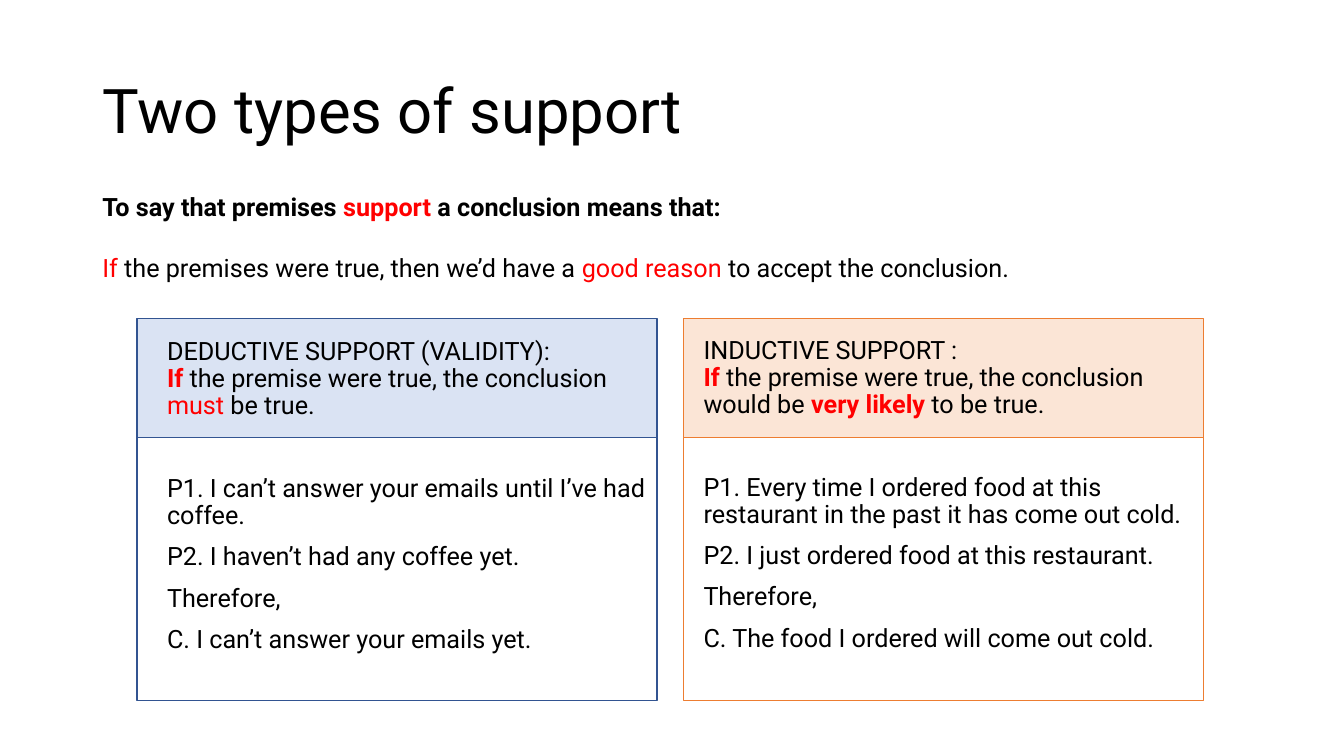
from pptx import Presentation
from pptx.dml.color import RGBColor
from pptx.enum.shapes import MSO_SHAPE as SHAPE
from pptx.enum.text import MSO_ANCHOR as ANCHOR, PP_ALIGN as ALIGN
from pptx.util import Cm, Pt

COLORS = {
    "black": "000000", "red": "FF0000", "white": "FFFFFF",
    "blue": "325491", "pale_blue": "DAE3F3",
    "orange": "ED7D31", "pale_orange": "FBE5D6",
}


def rgb(name):
    return RGBColor.from_string(COLORS[name])


def add_text(tf, *runs, size=18, spacing=0.9, before=0):
    p = tf.paragraphs[0]
    if p.runs:
        p = tf.add_paragraph()
    p.alignment = ALIGN.LEFT
    p.line_spacing = spacing
    p.space_before = Pt(before)
    for text, color, bold in runs:
        for i, line in enumerate(text.split("\n")):
            if i:
                p.add_line_break()
            if line:
                r = p.add_run()
                r.text = line
                r.font.name = "Roboto"
                r.font.size = Pt(size)
                r.font.bold = bold
                r.font.color.rgb = rgb(color)


prs = Presentation()
prs.slide_width, prs.slide_height = Cm(33.87), Cm(19.05)
s = prs.slides.add_slide(prs.slide_layouts[5])

title = s.shapes.title
title.left, title.top, title.width, title.height = Cm(2.33), Cm(1.02), Cm(29.21), Cm(3.68)
title.text_frame.vertical_anchor = ANCHOR.MIDDLE
add_text(title.text_frame, ("Two types of support", "black", False), size=44)

intro = s.shapes.add_textbox(Cm(2.33), Cm(4.7), Cm(29.21), Cm(2.57))
tf = intro.text_frame
tf.word_wrap = True
add_text(tf, ("To say that premises ", "black", True), ("support", "red", True),
         (" a conclusion means that:", "black", True), spacing=1.0)
add_text(tf, ("If", "red", False),
         (" the premises were true, then we’d have a ", "black", False),
         ("good reason", "red", False),
         (" to accept the conclusion.", "black", False), spacing=1.0, before=22)

panels = [
    (3.45, "blue", "pale_blue", (3.96, 8.41, 12.57),
     [("DEDUCTIVE SUPPORT (VALIDITY):\n", "black", False), ("If", "red", True),
      (" the premise were true, the conclusion ", "black", False),
      ("must", "red", False), (" be true.", "black", False)],
     ["P1. I can’t answer your emails until I’ve had coffee.",
      "P2. I haven’t had any coffee yet.",
      "Therefore,",
      "C. I can’t answer your emails yet."]),
    (17.22, "orange", "pale_orange", (17.48, 8.38, 13.11),
     [("INDUCTIVE SUPPORT :\n", "black", False), ("If", "red", True),
      (" the premise were true, the conclusion would be", "black", False),
      (" very likely ", "red", True), ("to be true.", "black", False)],
     ["P1. Every time I ordered food at this restaurant in the past it has come out cold.",
      "P2. I just ordered food at this restaurant.",
      "Therefore,",
      "C. The food I ordered will come out cold."]),
]

for left, line, tint, (x, y, width), heading, argument in panels:
    for top, height, fill in [(8.38, 9.27, "white"), (8.03, 3, tint)]:
        sp = s.shapes.add_shape(SHAPE.RECTANGLE, Cm(left), Cm(top), Cm(13.11), Cm(height))
        sp.shadow.inherit = False
        sp.fill.solid()
        sp.fill.fore_color.rgb = rgb(fill)
        sp.line.color.rgb = rgb(line)
        sp.line.width = Pt(1)

    tf = s.shapes.add_textbox(Cm(x), Cm(y), Cm(width), Cm(9.2)).text_frame
    tf.word_wrap = True
    add_text(tf, *heading, before=10)
    for i, statement in enumerate(argument):
        add_text(tf, (statement, "black", False), before=10 if i else 39.5)

prs.save("out.pptx")
